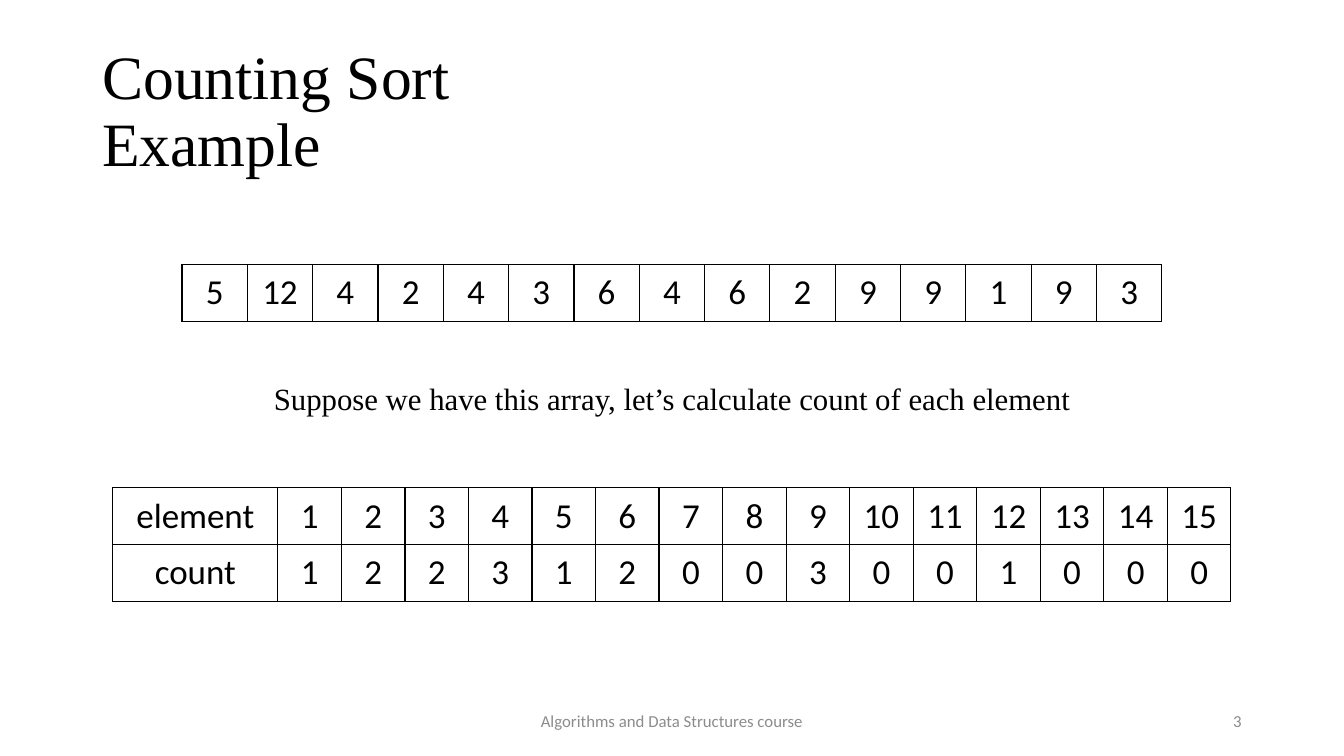
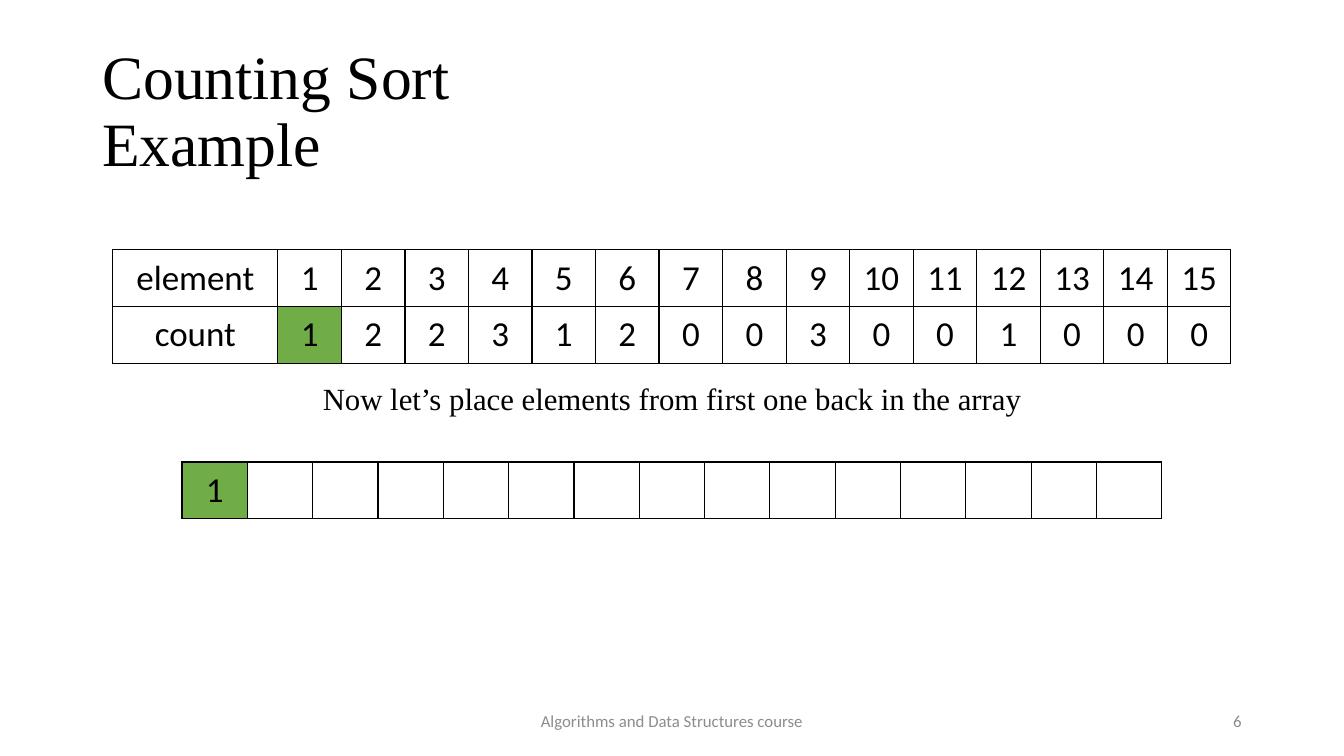
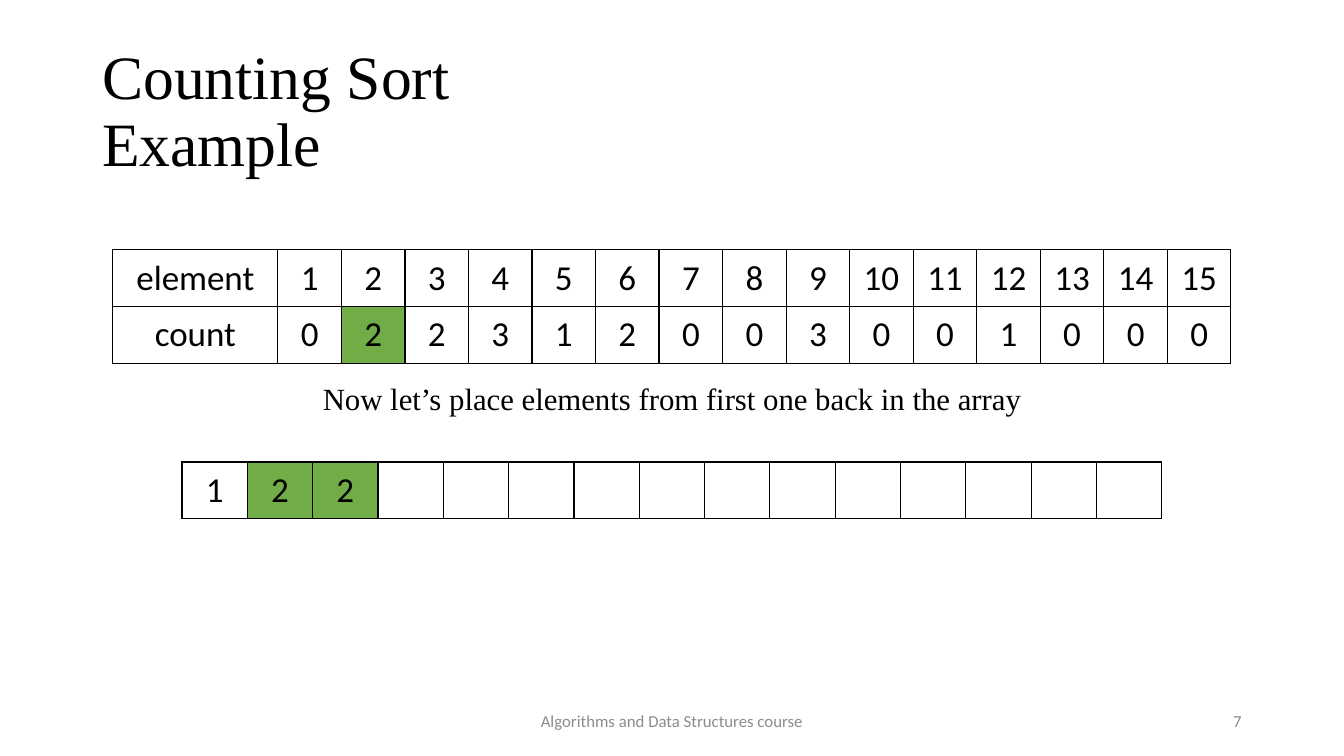
import dataclasses

import pptx
import pptx.dml.color
import pptx.enum.text
import pptx.oxml
import pptx.oxml.ns
import pptx.util

ALIGN = pptx.enum.text.PP_ALIGN
ANCHOR = pptx.enum.text.MSO_ANCHOR
SCALE = 6350  # EMU in one px, 144 px to the inch


@dataclasses.dataclass(frozen=True)
class Theme:
    ink: str = "000000"
    paper: str = "FFFFFF"
    mark: str = "70AD47"
    grey: str = "8C8C8C"
    serif: str = "Times New Roman"
    sans: str = "Calibri"
    title: int = 44
    body: int = 22
    cell: int = 25
    foot: int = 12


THEME = Theme()
COUNTS = [1, 2, 2, 3, 1, 2, 0, 0, 3, 0, 0, 1, 0, 0, 0]
ITEMS = [5, 12, 4, 2, 4, 3, 6, 4, 6, 2, 9, 9, 1, 9, 3]
PLACE = "Now let’s place elements from first one back in the array"


def px(num):
    return pptx.util.Emu(round(num * SCALE))


def rgb(code):
    return pptx.dml.color.RGBColor.from_string(code)


def style(para, face, size, color, align):
    para.alignment = align
    para.font.name = face
    para.font.size = pptx.util.Pt(size)
    para.font.color.rgb = rgb(color)


# Text boxes
def label(slide, box, lines, face, size, color, align,
          anchor=ANCHOR.MIDDLE, lead=None):
    frame = slide.shapes.add_textbox(*map(px, box)).text_frame
    frame.word_wrap = True
    frame.vertical_anchor = anchor
    frame.text = "\n".join(lines)
    for para in frame.paragraphs:
        style(para, face, size, color, align)
        para.line_spacing = lead


# Tables
def border(cell):
    props = cell._tc.get_or_add_tcPr()
    for side in ("lnL", "lnR", "lnT", "lnB"):
        props.append(pptx.oxml.parse_xml(
            f'<a:{side} {pptx.oxml.ns.nsdecls("a")} w="12700"><a:solidFill>'
            f'<a:srgbClr val="{THEME.ink}"/></a:solidFill></a:{side}>'))


def fill(cell, value, color):
    border(cell)
    cell.fill.solid()
    cell.fill.fore_color.rgb = rgb(color)
    cell.margin_left = cell.margin_right = px(19)
    cell.margin_top = cell.margin_bottom = px(9)
    cell.vertical_anchor = ANCHOR.MIDDLE
    cell.text = str(value)
    style(cell.text_frame.paragraphs[0], THEME.sans, THEME.cell, THEME.ink,
          ALIGN.CENTER)


def grid(slide, left, top, widths, rows, marks=()):
    side = px(472)
    frame = slide.shapes.add_table(
        len(rows), len(widths), px(left), px(top), side, side)
    table = frame.table
    table.first_row = table.horz_banding = False
    for col, wide in zip(table.columns, widths):
        col.width = px(wide)
    for y, row in enumerate(rows):
        table.rows[y].height = px(81)
        for x, value in enumerate(row):
            color = THEME.mark if (y, x) in marks else THEME.paper
            fill(table.cell(y, x), value, color)
    # Column and row sizes rule; the frame keeps its square
    frame.width = frame.height = side


def array(slide, top, items, marks=()):
    size = len(ITEMS)
    row = items + [""] * (size - len(items))
    grid(slide, 260, top, [1400 / size] * size, [row],
         [(0, x) for x in marks])


def tally(slide, top, counts, marks=()):
    size = len(counts)
    rows = [["element", *range(1, size + 1)], ["count", *counts]]
    grid(slide, 161, top, [236] + [1362 / size] * size, rows,
         [(1, x) for x in marks])


# Parts that every slide shares
def page(deck, number, note):
    slide = deck.slides.add_slide(deck.slide_layouts[6])
    label(slide, (132, 541, 1656, 74), [note], THEME.serif, THEME.body,
          THEME.ink, ALIGN.CENTER, ANCHOR.TOP, 0.9)
    label(slide, (132, 57, 1656, 209), ["Counting Sort", "Example"],
          THEME.serif, THEME.title, THEME.ink, ALIGN.LEFT, lead=0.9)
    foot = (THEME.sans, THEME.foot, THEME.grey)
    label(slide, (636, 1001, 648, 58),
          ["Algorithms and Data Structures course"], *foot, ALIGN.CENTER)
    label(slide, (1356, 1001, 432, 58), [str(number)], *foot, ALIGN.RIGHT)
    return slide


def main():
    deck = pptx.Presentation()
    deck.slide_width, deck.slide_height = px(1920), px(1080)

    # Count the elements
    slide = page(deck, 3, "Suppose we have this array, "
                          "let’s calculate count of each element")
    array(slide, 378, ITEMS)
    tally(slide, 697, COUNTS)

    # Place them back: number, placed items, marked items, counts, marked count
    steps = [
        (6, [1], [0], COUNTS, 1),
        (7, [1, 2, 2], [1, 2], [0] + COUNTS[1:], 2),
    ]
    for number, items, fresh, counts, now in steps:
        slide = page(deck, number, PLACE)
        array(slide, 660, items, fresh)
        tally(slide, 357, counts, [now])

    deck.save("out.pptx")


if __name__ == "__main__":
    main()
